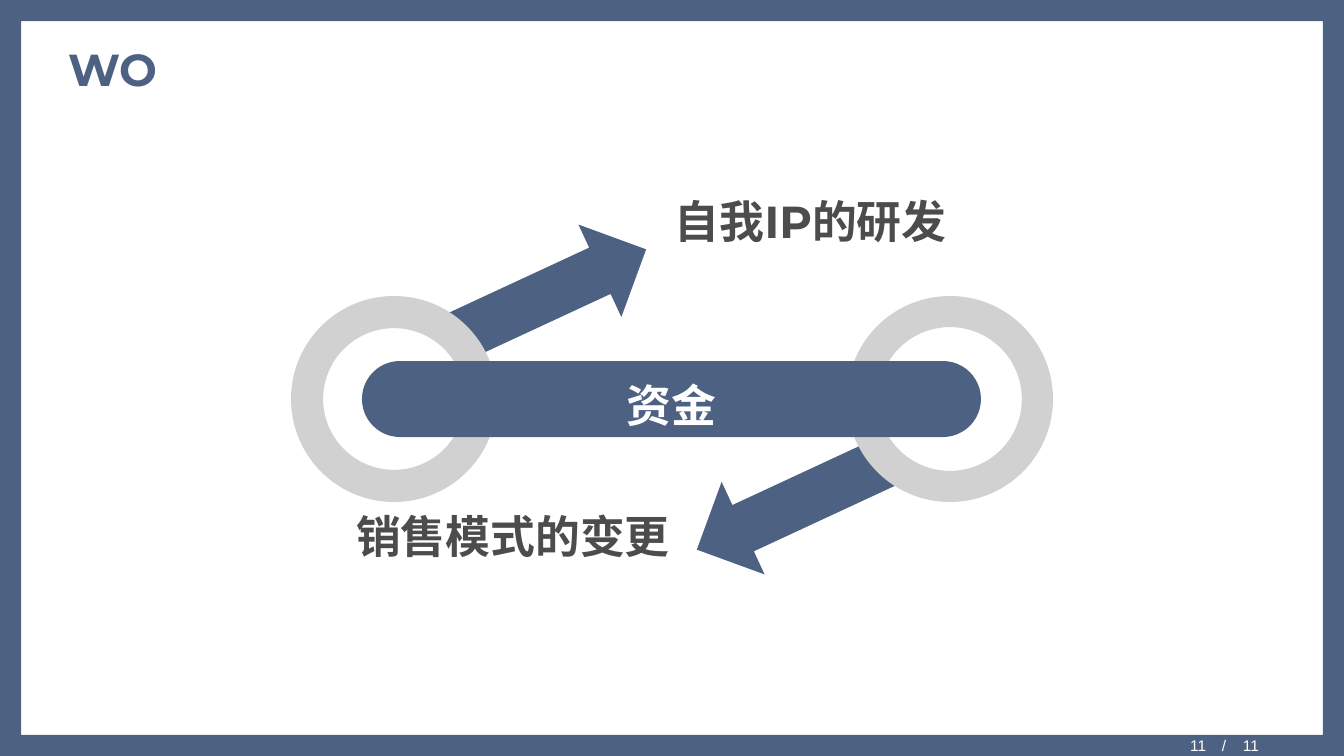
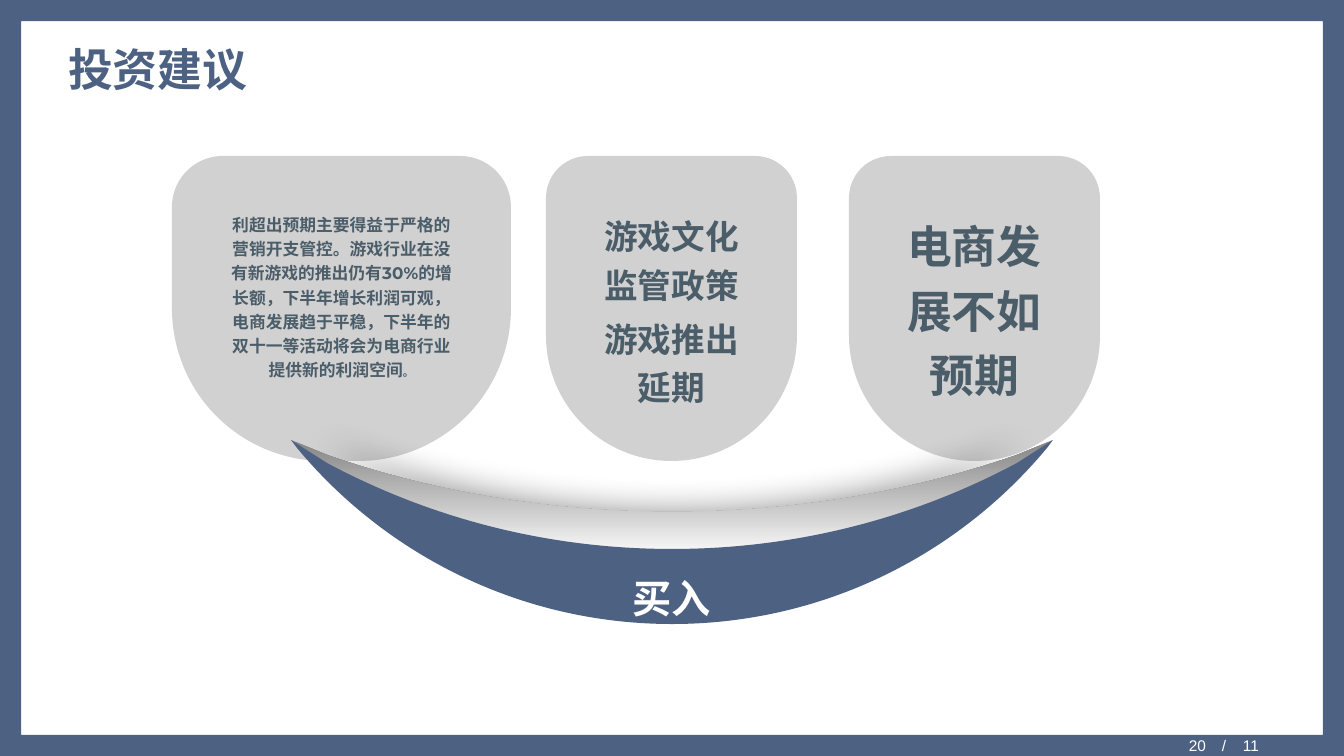
from lxml.etree import SubElement
from pptx import Presentation
from pptx.dml.color import RGBColor
from pptx.enum.shapes import MSO_SHAPE as SHAPE
from pptx.enum.text import MSO_ANCHOR as ANCHOR, PP_ALIGN as ALIGN
from pptx.oxml.ns import qn
from pptx.oxml.xmlchemy import OxmlElement as Node
from pptx.util import Pt

# Scale and colours
UNIT = 914400 / 100.8
WIDE, HIGH = 1344, 756
MID = WIDE // 2
BLUE = RGBColor(0x4D, 0x62, 0x83)
GREY = RGBColor(0xD1, 0xD1, 0xD1)
DARK = RGBColor(0x4C, 0x4C, 0x4C)
SLATE = RGBColor(0x4A, 0x5D, 0x69)
SHADE = RGBColor(0x85, 0x85, 0x85)
WHITE = RGBColor(0xFF, 0xFF, 0xFF)
FONT = "Montserrat"

# Content of the first slide
TOTAL = "11"
ARROWS = [((499, 188, 102, 212), 65.1), ((742, 399, 102, 212), 245.1)]
RINGS = [(291, 0.156), (847, 0.151)]
BAR = ("资金", (362, 361, 619, 76))
LABELS = [
    ("自我IP的研发", (665, 178, 622, 71), ALIGN.LEFT),
    ("销售模式的变更", (58, 493, 622, 71), ALIGN.RIGHT),
]

# Content of the second slide: left, width, size, paragraphs of runs
CARDS = [
    (172, 339, 12, [[
        "利超出预期主要得益于严格的营销开支管控。游戏行业在没有新游戏的推出仍有30%"
        "的增长额，下半年增长利润可观，电商发展趋于平稳，下半年的双十一等活动将会为"
        "电商行业提供新的利润空间", ("。", 8)]]),
    (546, 251, 24, [["游戏文化监管政策"], ["游戏推出延期"]]),
    (849, 251, 32, [["电商发展不如预期"]]),
]
VERDICT = ("买入", (369, 560, 605, 63))

# Crescents: distances from the middle, and heights that go with them
TIP = (381, 440)
OUTER, INNER = (375, 286, 151, 0), (345, 242, 125, 0)
BACK = ((445, 515, 560, 560), (455, 491, 512, 512))
FRONT = ((448, 555, 624, 624), (463, 518, 549, 549))


def px(*nums):
    return [round(n * UNIT) for n in nums]


def style(para, size, color, align=ALIGN.LEFT, name=FONT, bold=True):
    para.alignment = align
    font = para.font
    font.size, font.bold, font.name = Pt(size), bold, name
    font.color.rgb = color
    font._rPr.set("lang", "zh-CN")
    SubElement(font._rPr, qn("a:ea")).set("typeface", name)


def write(frame, paras, size, color, align):
    """Fill a frame with spaced paragraphs; a run may carry its own size."""
    frame.word_wrap = True
    for i, runs in enumerate(paras):
        para = frame.add_paragraph() if i else frame.paragraphs[0]
        para.line_spacing = 1.2
        para.space_after = Pt(2)
        if i:
            para.space_before = Pt(2)
        for item in runs:
            run = para.add_run()
            if isinstance(item, tuple):
                run.text, run.font.size = item[0], Pt(item[1])
            else:
                run.text = item
        style(para, size, color, align)


def plain(shape, color):
    shape.shadow.inherit = False
    shape.fill.solid()
    shape.fill.fore_color.rgb = color
    shape.line.fill.background()
    return shape


def draw(slide, kind, box, color, *adjs):
    shape = plain(slide.shapes.add_shape(kind, *px(*box)), color)
    for i, adj in enumerate(adjs):
        shape.adjustments[i] = adj
    return shape


def label(slide, text, box, size, color, align):
    write(slide.shapes.add_textbox(*px(*box)).text_frame,
          [[text]], size, color, align)


def footer(slide, text, box, align, tab=None):
    frame = slide.shapes.add_textbox(*px(*box)).text_frame
    frame.word_wrap = True
    frame.vertical_anchor = ANCHOR.MIDDLE
    para = frame.paragraphs[0]
    para.text = text
    if tab:
        tabs = SubElement(para._p.get_or_add_pPr(), qn("a:tabLst"))
        stop = SubElement(tabs, qn("a:tab"))
        stop.set("pos", str(px(tab)[0]))
        stop.set("algn", "l")
    style(para, 11, WHITE, align, "Arial", False)
    return frame


def start(deck, title, page):
    """Add a slide with its title and page count."""
    slide = deck.slides.add_slide(deck.slide_layouts[5])
    head = slide.shapes.title
    head.left, head.top, head.width, head.height = px(58, 29, 1228, 80)
    head.text_frame.text = title
    head.text_frame.vertical_anchor = ANCHOR.MIDDLE
    style(head.text_frame.paragraphs[0], 32, BLUE)
    footer(slide, "/\t" + TOTAL, (1212, 736, 132, 18), ALIGN.LEFT, 21)
    footer(slide, page, (955, 739, 261, 18), ALIGN.RIGHT).margin_top = 0
    return slide


def border(slide):
    """Draw the frame once and hand it to the layout."""
    edge = draw(slide, SHAPE.FRAME, (0, 0, WIDE, HIGH), BLUE, 0.028)._element
    edge.nvSpPr.cNvPr.set("id", "20")
    slide.slide_layout.shapes._spTree.insert(2, edge)


def arch(xs, ys):
    """Start, controls and end of two mirrored curves, right to left."""
    half = list(zip(xs, ys))
    return half + [(-x, y) for x, y in half[-2::-1]]


def bend(lines):
    """Turn three line steps into one cubic curve."""
    cubic = Node("a:cubicBezTo")
    lines[0].addprevious(cubic)
    for line in lines:
        cubic.append(line[0])
        line.getparent().remove(line)


def crescent(slide, outer, inner, color):
    x, y = TIP
    pts = [TIP, *arch(OUTER, outer), (-x, y), *arch(INNER, inner)[::-1]]
    pts = [px(MID + x, y) for x, y in pts]
    free = slide.shapes.build_freeform(*pts[0])
    free.add_line_segments(pts[1:], close=True)
    shape = free.convert_to_shape()
    lines = list(shape._element.iter(qn("a:lnTo")))
    for i in (1, 4, 9, 12):
        bend(lines[i:i + 3])
    return plain(shape, color)


def shade(shape):
    """Grey to white downwards, with a soft, slightly smaller shadow."""
    shape.fill.gradient()
    shape.fill.gradient_angle = 270
    for stop, color in zip(shape.fill.gradient_stops, (SHADE, WHITE)):
        stop.color.rgb = color
    effects = shape._element.spPr.find(qn("a:effectLst"))
    glow = SubElement(effects, qn("a:outerShdw"))
    for key, val in (("blurRad", Pt(24)), ("dist", 0), ("dir", 0),
                     ("sx", 90000), ("sy", 90000)):
        glow.set(key, str(int(val)))
    glow.set("algn", "ctr")
    glow.set("rotWithShape", "0")
    black = SubElement(glow, qn("a:srgbClr"))
    black.set("val", "000000")
    SubElement(black, qn("a:alpha")).set("val", "44000")


def funds(deck):
    slide = start(deck, "WO", "11")
    border(slide)
    for box, turn in ARROWS:
        draw(slide, SHAPE.UP_ARROW, box, BLUE).rotation = turn
    for left, adj in RINGS:
        draw(slide, SHAPE.DONUT, (left, 296, 206, 206), GREY, adj)
    text, box = BAR
    bar = draw(slide, SHAPE.ROUNDED_RECTANGLE, box, BLUE, 0.5)
    write(bar.text_frame, [[text]], 32, WHITE, ALIGN.CENTER)
    for text, box, align in LABELS:
        label(slide, text, box, 32, DARK, align)


def advice(deck):
    slide = start(deck, "投资建议", "20")
    for left, width, size, paras in CARDS:
        card = draw(slide, SHAPE.ROUND_2_SAME_RECTANGLE,
                    (left, 156, width, 305), GREY, 0.167, 0.5)
        frame = card.text_frame
        frame.vertical_anchor = ANCHOR.TOP
        frame.margin_top = px(40)[0]
        write(frame, paras, size, SLATE, ALIGN.CENTER)
    shade(crescent(slide, *BACK, WHITE))
    crescent(slide, *FRONT, BLUE)
    label(slide, *VERDICT, 28, WHITE, ALIGN.CENTER)


def main():
    deck = Presentation()
    deck.slide_width, deck.slide_height = px(WIDE, HIGH)
    funds(deck)
    advice(deck)
    deck.save("out.pptx")


if __name__ == "__main__":
    main()
